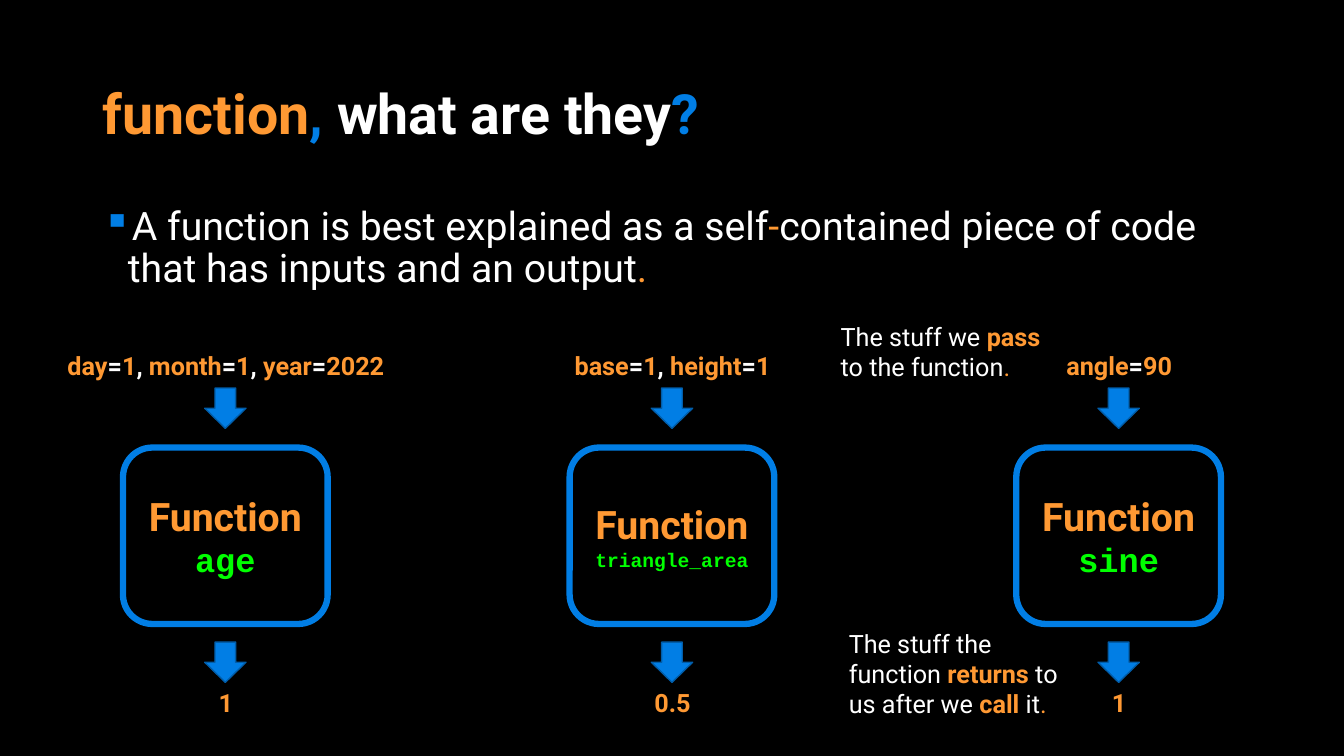
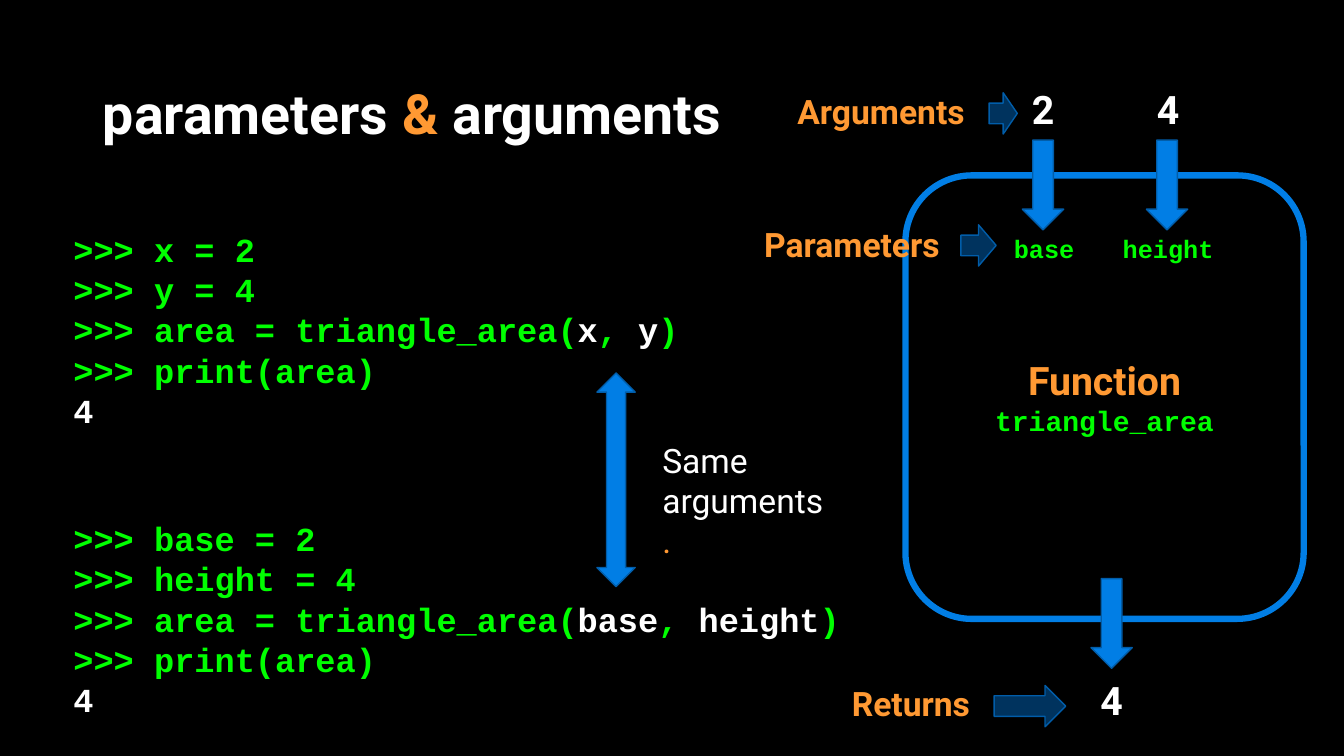
from itertools import groupby

from lxml import etree
from pptx import Presentation
from pptx.dml.color import RGBColor
from pptx.enum import shapes, text
from pptx.oxml.ns import qn
from pptx.util import Inches, Pt

BLACK, WHITE, ORANGE, GREEN = "000000", "FFFFFF", "FF9933", "00FF00"
BLUE, DARK_BLUE = "017EE5", "015DA9"
SANS, MONO = "Roboto", "Courier New"
CENTER, LEFT = text.PP_ALIGN.CENTER, text.PP_ALIGN.LEFT
SHAPE = shapes.MSO_SHAPE
rgb = RGBColor.from_string


def write(tf, runs, size, font=SANS, bold=True, align=LEFT):
    """Add one paragraph of (text, colour[, bold]) runs, filling an empty frame first."""
    p = tf.add_paragraph() if tf.text else tf.paragraphs[0]
    p.alignment = align
    for words, colour, *weight in runs:
        r = p.add_run()
        r.text = words
        r.font.name, r.font.size = font, Pt(size)
        r.font.bold = weight[0] if weight else bold
        r.font.color.rgb = rgb(colour)
    return p


def add(s, kind, at, fill=None, line=DARK_BLUE, width=1, wrap=True):
    """Add a preset shape, or a text box when kind is None."""
    box = [Inches(v) for v in at]
    if kind is None:
        sp = s.shapes.add_textbox(*box)
        sp.text_frame.word_wrap = wrap
        sp.text_frame.auto_size = text.MSO_AUTO_SIZE.SHAPE_TO_FIT_TEXT
        return sp
    sp = s.shapes.add_shape(kind, *box)
    sp.shadow.inherit = False
    if fill:
        sp.fill.solid()
        sp.fill.fore_color.rgb = rgb(fill)
    else:
        sp.fill.background()
    sp.line.color.rgb = rgb(line)
    sp.line.width = Pt(width)
    return sp


prs = Presentation()
prs.slide_width, prs.slide_height = Inches(13.33), Inches(7.5)
background = prs.slide_master.background.fill
background.solid()
background.fore_color.rgb = rgb(BLACK)

# Slides and their titles
titles = [
    [("function", ORANGE), (", ", BLUE), ("what are they", WHITE), ("?", BLUE)],
    [("parameters", WHITE), (" & ", ORANGE), ("arguments", WHITE)],
]
for runs in titles:
    title = prs.slides.add_slide(prs.slide_layouts[5]).shapes.title
    title.left, title.top = Inches(0.92), Inches(0.8)
    title.width, title.height = Inches(11.5), Inches(0.72)
    tf = title.text_frame
    tf.auto_size = text.MSO_AUTO_SIZE.NONE
    tf.vertical_anchor = text.MSO_ANCHOR.MIDDLE
    write(tf, runs, 39.6).line_spacing = 0.9
intro, params = prs.slides

# Slide 1: definition
sp = add(intro, None, (0.92, 2, 11.22, 1))
p = write(sp.text_frame, [
    ("A function is best explained as a self", WHITE), ("-", ORANGE),
    ("contained piece of code that has inputs and an output", WHITE),
    (".", ORANGE)], 28, bold=False)
p.line_spacing, p.space_before = 0.9, Pt(10)
pPr = p._p.get_or_add_pPr()
pPr.set("marL", str(Inches(0.25)))
pPr.set("indent", str(-Inches(0.25)))
bullet_colour = etree.SubElement(pPr, qn("a:buClr"))
etree.SubElement(bullet_colour, qn("a:srgbClr"), val=BLUE)
etree.SubElement(pPr, qn("a:buChar"), char="▪")

# Slide 1: three functions, each with inputs above and output below
functions = [
    ("day=1, month=1, year=2022", 3.61, "age", 24, "1"),
    ("base=1, height=1", 2.29, "triangle_area", 14, "0.5"),
    ("angle=90", 1.32, "sine", 24, "1"),
]
for i, (inputs, input_width, name, name_size, output) in enumerate(functions):
    center = 2.24 + 4.43 * i
    for top in (3.85, 6.37):
        add(intro, SHAPE.DOWN_ARROW, (center - 0.21, top, 0.41, 0.4), BLUE)
    tf = add(intro, SHAPE.ROUNDED_RECTANGLE, (center - 1.02, 4.44, 2.03, 1.75),
             line=BLUE, width=4.5).text_frame
    write(tf, [("Function", ORANGE)], 28, align=CENTER)
    write(tf, [(name, GREEN)], name_size, MONO, align=CENTER)
    input_runs = [("".join(group), WHITE if is_sign else ORANGE)
                  for is_sign, group in groupby(inputs, lambda c: c in "=,")]
    for runs, top, width in ((input_runs, 3.43, input_width),
                             ([(output, ORANGE)], 6.77, 0.56)):
        sp = add(intro, None, (center - width / 2, top, width, 0.4), wrap=False)
        write(sp.text_frame, runs, 18, align=CENTER)

# Slide 1: side notes
notes = [
    ((8.24, 3.14, 2.28, 0.71),
     [("The stuff we ", WHITE), ("pass", ORANGE, True),
      (" to the function", WHITE), (".", ORANGE)]),
    ((8.32, 6.18, 2.32, 1.01),
     [("The stuff the function ", WHITE), ("returns", ORANGE, True),
      (" to us after we ", WHITE), ("call ", ORANGE, True),
      ("it", WHITE), (".", ORANGE)]),
]
for at, runs in notes:
    write(add(intro, None, at).text_frame, runs, 18, bold=False)

# Slide 2: function box
tf = add(params, SHAPE.ROUNDED_RECTANGLE, (8.98, 1.74, 3.95, 4.4),
         line=BLUE, width=4.5).text_frame
write(tf, [("Function", ORANGE)], 28, align=CENTER)
write(tf, [("triangle_area", GREEN)], 20, MONO, align=CENTER)

# Slide 2: values passing in and out
for left, top in ((10.14, 1.39), (11.37, 1.39), (10.82, 5.74)):
    add(params, SHAPE.DOWN_ARROW, (left, top, 0.41, 0.89), BLUE)
values = [
    ("2", (10.13, 0.8, 0.43, 0.57), 28, SANS, WHITE),
    ("4", (11.37, 0.8, 0.43, 0.57), 28, SANS, WHITE),
    ("4", (10.81, 6.66, 0.43, 0.57), 28, SANS, WHITE),
    ("base", (9.95, 2.27, 0.81, 0.4), 18, MONO, GREEN),
    ("height", (11.03, 2.27, 1.11, 0.4), 18, MONO, GREEN),
]
for value, at, size, font, colour in values:
    sp = add(params, None, at, wrap=False)
    write(sp.text_frame, [(value, colour)], size, font, align=CENTER)

# Slide 2: terms with translucent pointers
terms = [
    ("Arguments", (7.81, 0.85, 1.96, 0.5), (9.81, 0.92, 0.28, 0.41)),
    ("Parameters", (7.48, 2.17, 1.98, 0.5), (9.53, 2.23, 0.35, 0.41)),
    ("Returns", (8.35, 6.73, 1.41, 0.5), (9.86, 6.8, 0.71, 0.41)),
]
for term, label_at, pointer_at in terms:
    sp = add(params, None, label_at, wrap=False)
    write(sp.text_frame, [(term, ORANGE)], 24)
    pointer = add(params, SHAPE.RIGHT_ARROW, pointer_at, BLUE)
    fill_colour = pointer.element.spPr.find(qn("a:solidFill")).find(qn("a:srgbClr"))
    etree.SubElement(fill_colour, qn("a:alpha"), val="41000")

# Slide 2: console sessions
for top, first, second in ((2.22, "x", "y"), (5.09, "base", "height")):
    tf = add(params, None, (0.63, top, 8.26, 2.12)).text_frame
    for runs in (
        [(f">>> {first} = 2", GREEN)],
        [(f">>> {second} = 4", GREEN)],
        [(">>> area = triangle_area(", GREEN), (first, WHITE), (", ", GREEN),
         (second, WHITE), (")", GREEN)],
        [(">>> print(area)", GREEN)],
        [("4", WHITE)],
    ):
        write(tf, runs, 24, MONO)

add(params, SHAPE.UP_DOWN_ARROW, (5.92, 3.7, 0.38, 2.12), BLUE)
sp = add(params, None, (6.47, 4.31, 1.88, 0.91))
write(sp.text_frame, [("Same arguments", WHITE), (".", ORANGE)], 24, bold=False)

prs.save("out.pptx")
